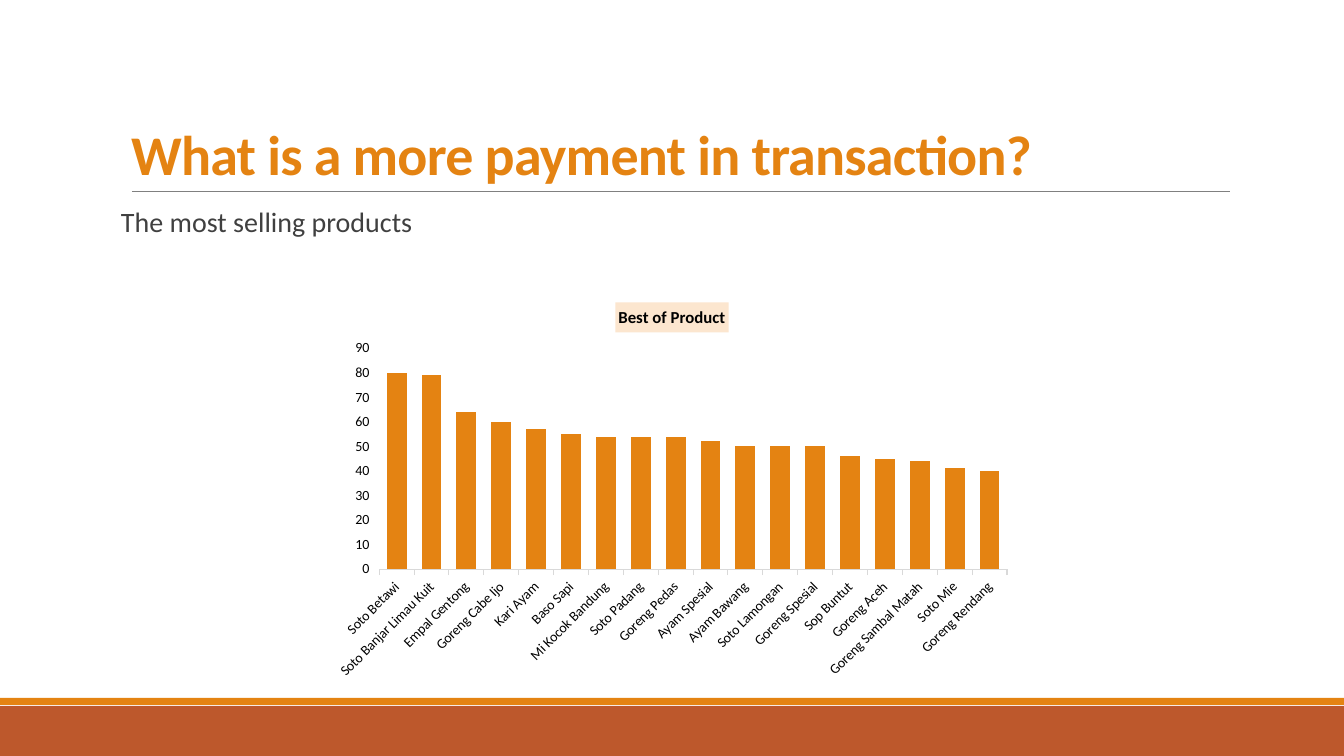
"""Build the slide that charts the best selling products."""
from lxml.etree import SubElement
from pptx import Presentation
from pptx.chart.data import CategoryChartData
from pptx.dml.color import RGBColor
from pptx.enum.chart import XL_CHART_TYPE as ChartType, XL_TICK_MARK as TickMark
from pptx.enum.shapes import MSO_CONNECTOR as Connector, MSO_SHAPE as Shape
from pptx.enum.text import MSO_ANCHOR as Anchor, MSO_AUTO_SIZE as AutoSize, PP_ALIGN as Align
from pptx.oxml.ns import qn
from pptx.util import Pt

PX = 914400 / 100.8
ORANGE, RUST, PEACH = "E48312", "BD582C", "FCE6CF"
SALES = {
    "Soto Betawi": 80, "Soto Banjar Limau Kuit": 79, "Empal Gentong": 64,
    "Goreng Cabe Ijo": 60, "Kari Ayam": 57, "Baso Sapi": 55,
    "Mi Kocok Bandung": 54, "Soto Padang": 54, "Goreng Pedas": 54,
    "Ayam Spesial": 52, "Ayam Bawang": 50, "Soto Lamongan": 50,
    "Goreng Spesial": 50, "Sop Buntut": 46, "Goreng Aceh": 45,
    "Goreng Sambal Matah": 44, "Soto Mie": 41, "Goreng Rendang": 40,
}


def px(*lengths):
    """Turn pixel lengths into EMU."""
    return [round(length * PX) for length in lengths]


def write(frame, text, size, color, bold=False, line_spacing=None, before=0, after=0, spacing=0):
    """Put one formatted paragraph into a text frame."""
    frame.text = text
    para = frame.paragraphs[0]
    para.alignment = Align.LEFT
    para.line_spacing = line_spacing
    para.space_before, para.space_after = Pt(before), Pt(after)
    span = para.runs[0]
    span.font.name, span.font.size, span.font.bold = "Calibri", Pt(size), bold
    span.font.color.rgb = RGBColor.from_string(color)
    span.font._element.set("spc", str(spacing))


deck = Presentation()
deck.slide_width, deck.slide_height = px(1344, 756)
page = deck.slides.add_slide(deck.slide_layouts[1])

for top, height, color in [(706, 50, RUST), (698, 7, ORANGE)]:
    band = page.shapes.add_shape(Shape.RECTANGLE, *px(0, top, 1344, height))
    band.shadow.inherit = False
    band.fill.solid()
    band.fill.fore_color.rgb = RGBColor.from_string(color)
    band.line.fill.background()

rule = page.shapes.add_connector(Connector.STRAIGHT, *px(132, 191, 1230, 191))
rule.line.color.rgb = RGBColor.from_string("808080")
rule.line.width = Pt(0.5)
SubElement(rule._element.spPr, qn("a:effectLst"))

title, body = page.placeholders
title.left, title.top, title.width, title.height = px(121, 32, 1109, 160)
body.left, body.top, body.width, body.height = px(121, 203, 1109, 443)
for box, anchor in [(title, Anchor.BOTTOM), (body, Anchor.TOP)]:
    box.text_frame.auto_size = AutoSize.NONE
    box.text_frame.word_wrap = True
    box.text_frame.vertical_anchor = anchor
body.text_frame.margin_left = body.text_frame.margin_right = 0

write(title.text_frame, "What is a more payment in transaction?", 40, ORANGE,
      bold=True, line_spacing=0.85, spacing=-50)
write(body.text_frame, "The most selling products", 20, "404040",
      line_spacing=0.9, before=12, after=2)
bullet = body.text_frame.paragraphs[0]._p.get_or_add_pPr()
bullet.set("marL", "0")
bullet.set("indent", "0")
SubElement(bullet, qn("a:buNone"))

data = CategoryChartData()
data.categories = list(SALES)
data.add_series("Series 1", list(SALES.values()))
chart = page.shapes.add_chart(ChartType.COLUMN_CLUSTERED, *px(323, 289, 698, 398), data).chart
chart.has_legend = False
chart.font.name, chart.font.size = "Calibri", Pt(10)
chart.font.color.rgb = RGBColor.from_string("000000")

chart.has_title = True
write(chart.chart_title.text_frame, "Best of Product", 12, "000000", bold=True)
chart.chart_title.include_in_layout = False
chart.chart_title.format.fill.solid()
chart.chart_title.format.fill.fore_color.rgb = RGBColor.from_string(PEACH)

plot = chart.plots[0]
plot.gap_width, plot.overlap = 75, 75
plot.vary_by_categories = False
bars = plot.series[0].format.fill
bars.solid()
bars.fore_color.rgb = RGBColor.from_string(ORANGE)

products, amounts = chart.category_axis, chart.value_axis
for axis in (products, amounts):
    axis.has_major_gridlines = False
    axis.major_tick_mark = TickMark.OUTSIDE
    axis.tick_labels.font.name, axis.tick_labels.font.size = "Calibri", Pt(10)
    axis.tick_labels.font.color.rgb = RGBColor.from_string("000000")
products.format.line.color.rgb = RGBColor.from_string("D9D9D9")
products.format.line.width = Pt(0.75)
products._element.find(qn("c:txPr")).find(qn("a:bodyPr")).set("rot", "-2700000")
amounts.format.line.fill.background()
amounts.minimum_scale, amounts.maximum_scale, amounts.major_unit = 0, 90, 10

deck.save("out.pptx")
